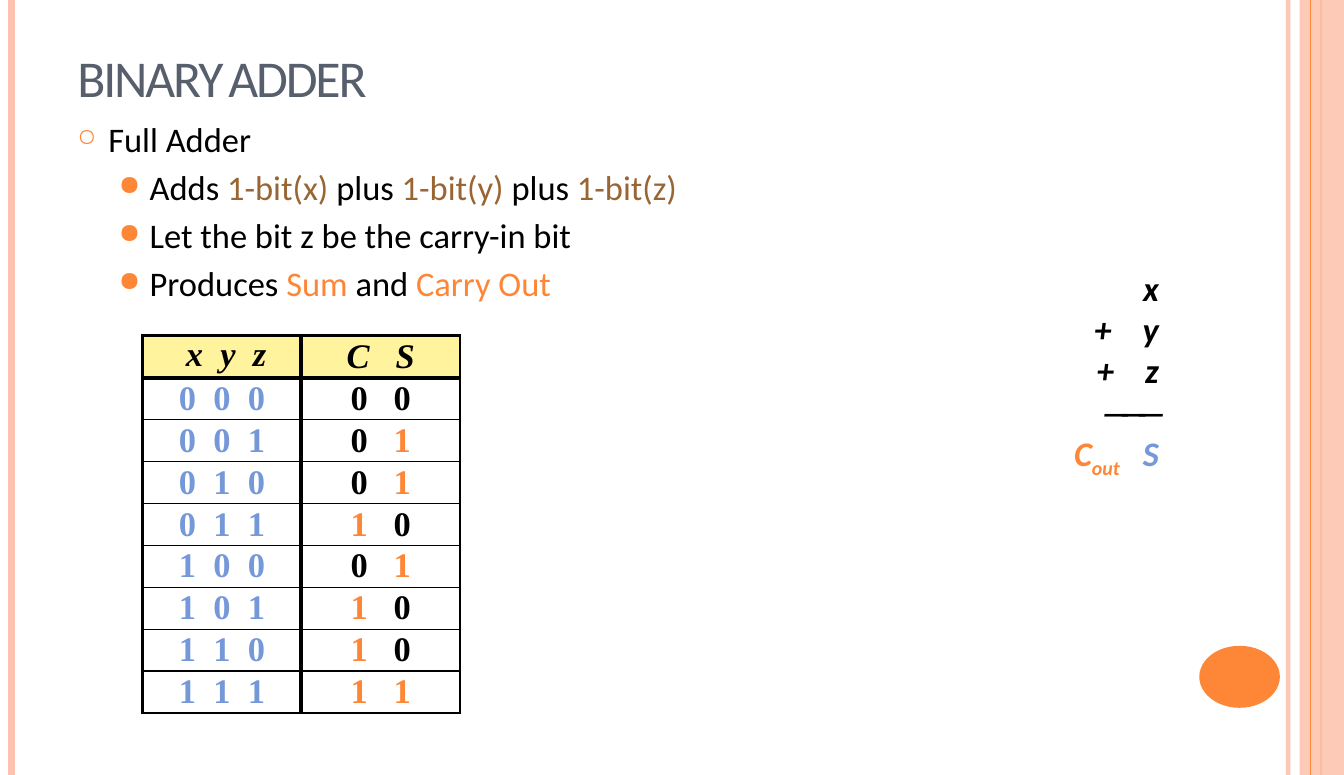
from itertools import product
from lxml.etree import SubElement
from pptx import Presentation
from pptx.dml.color import RGBColor
from pptx.enum.shapes import MSO_CONNECTOR as CONNECTOR, MSO_SHAPE as SHAPE
from pptx.enum.text import MSO_ANCHOR as ANCHOR, PP_ALIGN as ALIGN
from pptx.oxml.ns import qn
from pptx.util import Inches, Pt

COLORS = {
    "black": "000000", "orange": "FE8637", "peach": "FEC3AE", "blue": "7598D9",
    "brown": "996633", "slate": "575F6D", "yellow": "FFF39D",
}
BODY = {"name": "Calibri", "size": Pt(24)}
EQUATION = {**BODY, "bold": True, "italic": True}
BITS = {"name": "Times New Roman", "size": Pt(24), "bold": True}
HEADING = {**BITS, "italic": True}


def rgb(name):
    return RGBColor.from_string(COLORS[name])


def set_alpha(fill, percent):
    """Make a solid fill or line fill partly transparent."""
    color = next(fill._xPr.iter(qn("a:srgbClr")))
    SubElement(color, qn("a:alpha"), val=str(percent * 1000))


def spaced(parts, gap):
    """Put one widened space between the (text, color) parts."""
    runs = [parts[0]]
    for part in parts[1:]:
        runs += [(" ", "black", {"spc": gap}), part]
    return runs


class SlideBuilder:
    def __init__(self, presentation):
        self.slide = presentation.slides.add_slide(presentation.slide_layouts[6])
        self.shapes = self.slide.shapes

    def vertical_line(self, x, color, width, alpha=100):
        line = self.shapes.add_connector(
            CONNECTOR.STRAIGHT, Inches(x), 0, Inches(x), Inches(7.5))
        line.line.color.rgb = rgb(color)
        line.line.width = Pt(width)
        if alpha < 100:
            set_alpha(line.line.fill, alpha)
        SubElement(line._element.spPr, qn("a:effectLst"))

    def shape(self, kind, box, color, alpha=100):
        shape = self.shapes.add_shape(kind, *map(Inches, box))
        shape.shadow.inherit = False
        shape.fill.solid()
        shape.fill.fore_color.rgb = rgb(color)
        shape.line.fill.background()
        if alpha < 100:
            set_alpha(shape.fill, alpha)

    def add_runs(self, paragraph, runs, style):
        """Add runs given as (text, color[, extra run attributes])."""
        for text, color, *extra in runs:
            run = paragraph.add_run()
            run.text = text
            for name, value in style.items():
                setattr(run.font, name, value)
            run.font.color.rgb = rgb(color)
            for attributes in extra:
                for name, value in attributes.items():
                    run._r.get_or_add_rPr().set(name, str(value))

    def text(self, box, lines, style, align=ALIGN.LEFT, anchor=ANCHOR.TOP,
             margin=None, bullets=None):
        frame = self.shapes.add_textbox(*map(Inches, box)).text_frame
        frame.word_wrap = True
        frame.vertical_anchor = anchor
        if margin is not None:
            for side in ("left", "top", "right", "bottom"):
                setattr(frame, f"margin_{side}", Inches(margin))
        for index, runs in enumerate(lines):
            paragraph = frame.add_paragraph() if index else frame.paragraphs[0]
            paragraph.alignment = align
            if bullets:
                self.bullet(paragraph, *bullets[min(index, 1)])
                if index:
                    paragraph.space_before = Pt(4.8)
            self.add_runs(paragraph, runs, style)

    def bullet(self, paragraph, level, indent, character, size):
        paragraph.level = level
        properties = paragraph._p.get_or_add_pPr()
        properties.set("marL", str(Inches(indent)))
        properties.set("indent", str(Inches(-0.3)))
        color = SubElement(properties, qn("a:buClr"))
        SubElement(color, qn("a:srgbClr"), val=COLORS["orange"])
        SubElement(properties, qn("a:buSzPct"), val=str(size * 1000))
        SubElement(properties, qn("a:buChar"), char=character)

    def borders(self, cell, widths):
        properties = cell._tc.get_or_add_tcPr()
        for side, width in zip("LRTB", widths):
            line = SubElement(properties, qn(f"a:ln{side}"), w=str(Pt(width)))
            fill = SubElement(line, qn("a:solidFill"))
            SubElement(fill, qn("a:srgbClr"), val=COLORS["black"])

    def truth_table(self, box, rows):
        table = self.shapes.add_table(len(rows), 2, *map(Inches, box)).table
        table.first_row = table.horz_banding = False
        last = len(rows) - 1
        for r, row in enumerate(rows):
            table.rows[r].height = Inches(box[3] / len(rows))
            top = {0: 2.25, 1: 3}.get(r, 1)
            bottom = {0: 3, last: 2.25}.get(r, 1)
            for c, runs in enumerate(row):
                cell = table.cell(r, c)
                for side in ("left", "top", "right", "bottom"):
                    setattr(cell, f"margin_{side}", 0)
                cell.vertical_anchor = ANCHOR.MIDDLE
                sides = (3, 2.25) if c else (2.25, 3)
                self.borders(cell, (*sides, top, bottom))
                if r == 0:
                    cell.fill.solid()
                    cell.fill.fore_color.rgb = rgb("yellow")
                else:
                    cell.fill.background()
                paragraph = cell.text_frame.paragraphs[0]
                paragraph.alignment = ALIGN.CENTER
                self.add_runs(paragraph, runs, BITS if r else HEADING)
        # The input heading sits slightly right of centre, at the top
        table.cell(0, 0).margin_left = Inches(0.08)
        table.cell(0, 0).vertical_anchor = ANCHOR.TOP


def full_adder_rows():
    """Heading row, then inputs with carry and sum for every bit combination."""
    rows = [(spaced([(name, "black") for name in "xyz"], 600),
             spaced([(name, "black") for name in "CS"], 1200))]
    for bits in product((0, 1), repeat=3):
        outputs = divmod(sum(bits), 2)
        rows.append((
            spaced([(str(bit), "blue") for bit in bits], 600),
            spaced([(str(bit), "orange" if bit else "black") for bit in outputs], 1200)))
    return rows


def main():
    presentation = Presentation()
    presentation.slide_width = Inches(13)
    presentation.slide_height = Inches(7.5)
    builder = SlideBuilder(presentation)

    # Side decoration
    builder.vertical_line(12.46, "peach", 3, alpha=93)
    builder.vertical_line(0.11, "peach", 4.5)
    builder.vertical_line(12.78, "orange", 1.5)
    builder.shape(SHAPE.RECTANGLE, (12.57, 0, 0.43, 7.5), "peach", alpha=87)
    builder.vertical_line(12.68, "orange", 0.75)
    builder.shape(SHAPE.OVAL, (11.6, 6.25, 0.78, 0.6), "orange")

    # Truth table
    builder.truth_table((1.38, 3.25, 3.07, 3.65), full_adder_rows())

    # Column addition
    plus_lines = [spaced([("+", "black"), (name, "black")], 1630) for name in "yz"]
    result = [("C", "orange"), ("out", "orange", {"baseline": -25000}),
              (" ", "black", {"spc": 1060}), ("S", "blue")]
    builder.text((9.28, 2.58, 1.93, 2.02),
                 [[("x", "black")], *plus_lines, [("───", "black")], result],
                 EQUATION, align=ALIGN.RIGHT, margin=0)

    # Bullet points
    points = [
        [("Full Adder", "black")],
        [("Adds ", "black"), ("1-bit(x)", "brown"), (" plus ", "black"),
         ("1-bit(y) ", "brown"), ("plus ", "black"), ("1-bit(z)", "brown")],
        [("Let the bit z be the carry-in bit", "black")],
        [("Produces ", "black"), ("Sum", "orange"), (" and ", "black"),
         ("Carry Out", "orange")],
    ]
    builder.text((0.65, 1.09, 10.94, 6.41), points, BODY,
                 bullets=[(0, 0.3, "○", 70), (1, 0.7, "●", 80)])

    # Title
    title = [("BINARY ADDER", "slate", {"spc": -150, "cap": "small"})]
    builder.text((0.65, 0.3, 10.94, 0.79), [title], {**BODY, "size": Pt(36)},
                 anchor=ANCHOR.BOTTOM)

    presentation.save("out.pptx")


if __name__ == "__main__":
    main()
